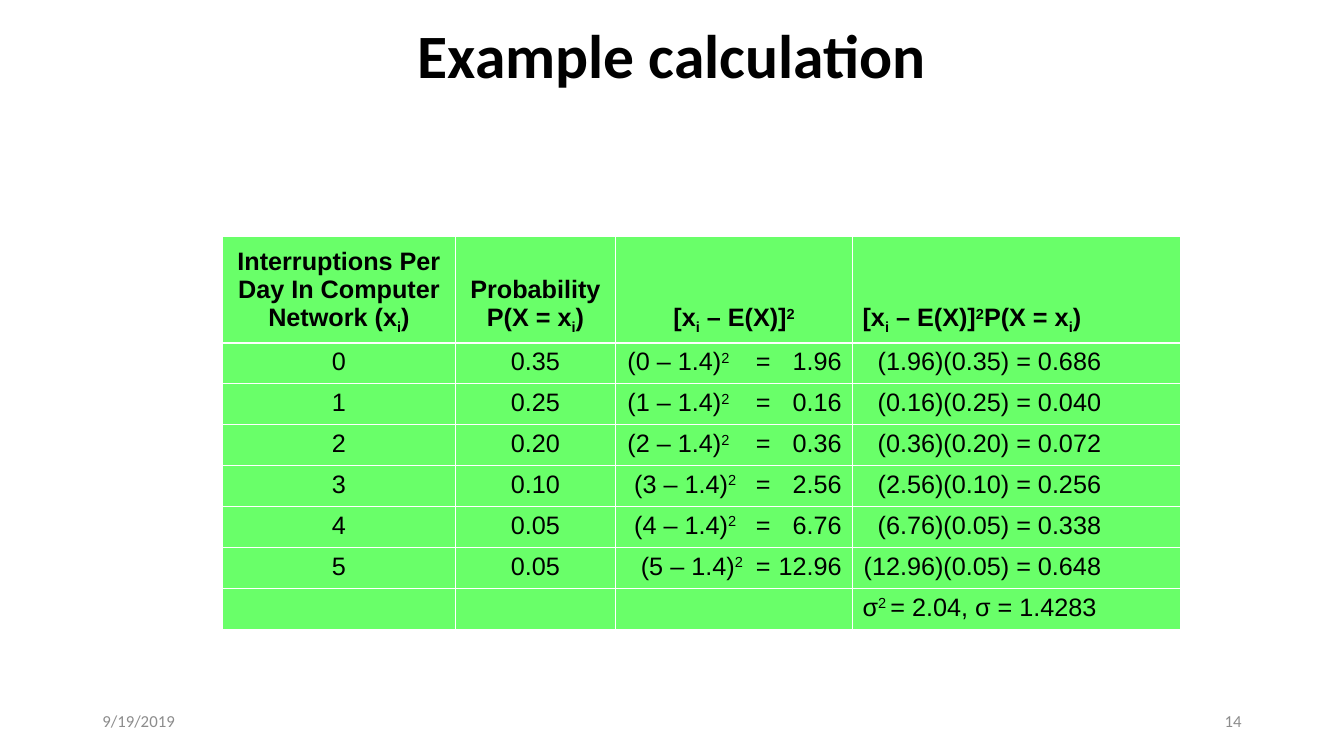
"""Build a slide that tabulates a variance calculation."""
from dataclasses import dataclass

from lxml.etree import SubElement
from pptx import Presentation
from pptx.dml.color import RGBColor
from pptx.enum.text import MSO_ANCHOR, MSO_AUTO_SIZE, PP_ALIGN
from pptx.oxml.ns import qn
from pptx.slide import Slide
from pptx.table import _Cell
from pptx.text.text import TextFrame, _Paragraph, _Run
from pptx.util import Inches, Pt

BLACK = RGBColor(0x00, 0x00, 0x00)
GREY = RGBColor(0x8C, 0x8C, 0x8C)
GREEN = RGBColor(0x69, 0xFF, 0x69)

GRID_COLUMNS, GRID_ROWS = 160, 90
SLIDE_WIDTH, SLIDE_HEIGHT = Inches(13.33), Inches(7.5)
BASELINES = {"_": "-25000", "^": "30000"}
COLUMN_WIDTHS = (27.7, 19.1, 28.2, 39)
HEADER_HEIGHT, BODY_HEIGHT = 12, 4.87
EQUALS_TAB, VALUE_TAB = 15.5, 25.7
PRODUCT_MARGIN = 9.4


@dataclass(frozen=True)
class Header:
    """Marked-up lines of a column heading and their alignment."""
    lines: tuple[str, ...]
    alignment: PP_ALIGN = PP_ALIGN.CENTER


@dataclass(frozen=True)
class Outcome:
    """One row of the calculation, with the indent of its squared term."""
    count: str
    probability: str
    square: str
    product: str
    indent: float


@dataclass(frozen=True)
class FooterItem:
    """A footer text with its left grid column."""
    text: str
    left: float
    alignment: PP_ALIGN


HEADERS = (
    Header(("Interruptions Per Day In Computer Network (x|_i|)",)),
    Header(("Probability", "P(X = x|_i|)")),
    Header(("[x|_i| – E(X)]|^2",)),
    Header(("[x|_i| – E(X)]|^2|P(X = x|_i|)",), PP_ALIGN.LEFT),
)
OUTCOMES = (
    Outcome("0", "0.35", "1.96", "0.686", 0.2),
    Outcome("1", "0.25", "0.16", "0.040", 0.2),
    Outcome("2", "0.20", "0.36", "0.072", 0.2),
    Outcome("3", "0.10", "2.56", "0.256", 1),
    Outcome("4", "0.05", "6.76", "0.338", 1),
    Outcome("5", "0.05", "12.96", "0.648", 1.8),
)
RESULT = "σ|^2 |= 2.04, σ = 1.4283"
FOOTERS = (
    FooterItem("9/19/2019", 11, PP_ALIGN.LEFT),
    FooterItem("14", 113, PP_ALIGN.RIGHT),
)


def across(columns: float) -> int:
    """Return the width of a number of grid columns."""
    return round(SLIDE_WIDTH * columns / GRID_COLUMNS)


def down(rows: float) -> int:
    """Return the height of a number of grid rows."""
    return round(SLIDE_HEIGHT * rows / GRID_ROWS)


def style_run(run: _Run, name: str, size: float, color: RGBColor, bold: bool = False) -> None:
    """Set the font of a run."""
    run.font.name = name
    run.font.size = Pt(size)
    run.font.bold = bold
    run.font.color.rgb = color


def write_markup(paragraph: _Paragraph, markup: str, bold: bool) -> None:
    """Write pieces split by bars, where _ lowers and ^ raises a piece."""
    for piece in filter(None, markup.split("|")):
        run = paragraph.add_run()
        baseline = BASELINES.get(piece[0])
        run.text = piece[1:] if baseline else piece
        style_run(run, "Arial", 18, BLACK, bold)
        if baseline:
            run.font._element.set("baseline", baseline)


def fill_cell(cell: _Cell, lines: tuple[str, ...], alignment: PP_ALIGN, bold: bool = False) -> None:
    """Write marked-up lines into a cell."""
    frame = cell.text_frame
    for index, line in enumerate(lines):
        paragraph = frame.add_paragraph() if index else frame.paragraphs[0]
        paragraph.alignment = alignment
        write_markup(paragraph, line, bold)


def set_tabs(paragraph: _Paragraph, indent: float) -> None:
    """Line up the squared term, the equals sign and the value."""
    tab_list = SubElement(paragraph._p.get_or_add_pPr(), qn("a:tabLst"))
    for position, side in ((indent, "l"), (EQUALS_TAB, "l"), (VALUE_TAB, "r")):
        SubElement(tab_list, qn("a:tab"), pos=str(across(position)), algn=side)


def add_title(slide: Slide, text: str) -> None:
    """Place and format the title."""
    title = slide.shapes.title
    title.left, title.top = across(11), down(1.5)
    title.width, title.height = across(138), down(10.9)
    frame = title.text_frame
    frame.text = text
    frame.auto_size = MSO_AUTO_SIZE.NONE
    frame.vertical_anchor = MSO_ANCHOR.MIDDLE
    paragraph = frame.paragraphs[0]
    paragraph.alignment = PP_ALIGN.CENTER
    paragraph.line_spacing = 0.9
    style_run(paragraph.runs[0], "Calibri", 44, BLACK, True)


def add_footer(slide: Slide, item: FooterItem) -> None:
    """Add a footer text."""
    box = slide.shapes.add_textbox(across(item.left), down(83.4), across(36), down(4.8))
    frame: TextFrame = box.text_frame
    frame.word_wrap = True
    frame.vertical_anchor = MSO_ANCHOR.MIDDLE
    frame.text = item.text
    frame.paragraphs[0].alignment = item.alignment
    style_run(frame.paragraphs[0].runs[0], "Calibri", 12, GREY)


def add_calculation(slide: Slide) -> None:
    """Add the table of outcomes and the resulting variance."""
    row_count = len(OUTCOMES) + 2
    table = slide.shapes.add_table(
        row_count, len(HEADERS), across(26.5), down(28.1),
        across(sum(COLUMN_WIDTHS)), down(HEADER_HEIGHT + BODY_HEIGHT * (row_count - 1)),
    ).table
    table.horz_banding = False
    for column, width in zip(table.columns, COLUMN_WIDTHS):
        column.width = across(width)
    for index, row in enumerate(table.rows):
        row.height = down(BODY_HEIGHT if index else HEADER_HEIGHT)
    for cell in table.iter_cells():
        cell.fill.solid()
        cell.fill.fore_color.rgb = GREEN

    for column, header in enumerate(HEADERS):
        cell = table.cell(0, column)
        cell.vertical_anchor = MSO_ANCHOR.BOTTOM
        cell.margin_bottom = Inches(0.07)
        fill_cell(cell, header.lines, header.alignment, True)

    for row, outcome in enumerate(OUTCOMES, 1):
        count, probability, square, product = (table.cell(row, column) for column in range(4))
        fill_cell(count, (outcome.count,), PP_ALIGN.CENTER)
        fill_cell(probability, (outcome.probability,), PP_ALIGN.CENTER)
        term = f"\t({outcome.count} – 1.4)|^2|\t=\t{outcome.square}"
        fill_cell(square, (term,), PP_ALIGN.LEFT)
        set_tabs(square.text_frame.paragraphs[0], outcome.indent)
        equation = f"({outcome.square})({outcome.probability}) = {outcome.product}"
        fill_cell(product, (equation,), PP_ALIGN.RIGHT)
        product.margin_right = across(PRODUCT_MARGIN)
    fill_cell(table.cell(row_count - 1, 3), (RESULT,), PP_ALIGN.LEFT)


def main() -> None:
    """Build and save the presentation."""
    presentation = Presentation()
    presentation.slide_width, presentation.slide_height = SLIDE_WIDTH, SLIDE_HEIGHT
    slide = presentation.slides.add_slide(presentation.slide_layouts[5])
    add_title(slide, "Example calculation")
    for item in FOOTERS:
        add_footer(slide, item)
    add_calculation(slide)
    presentation.save("out.pptx")


if __name__ == "__main__":
    main()
